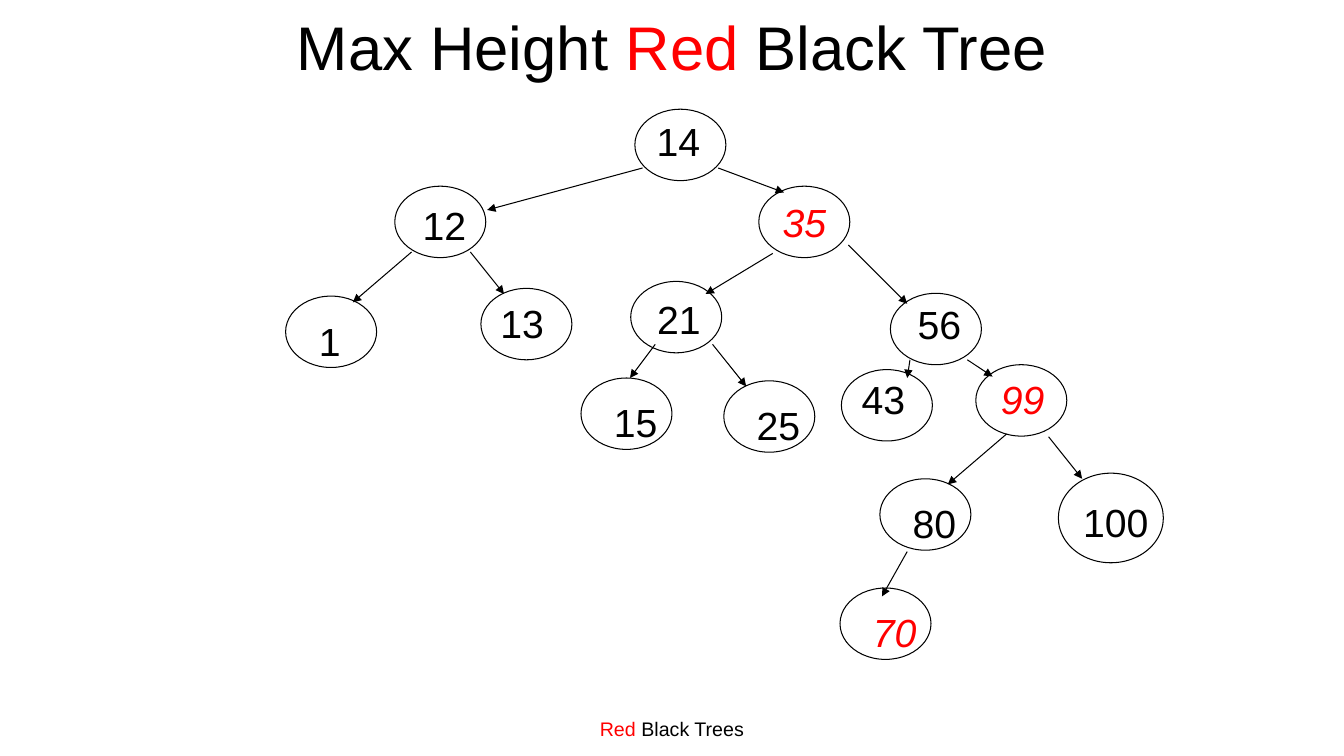
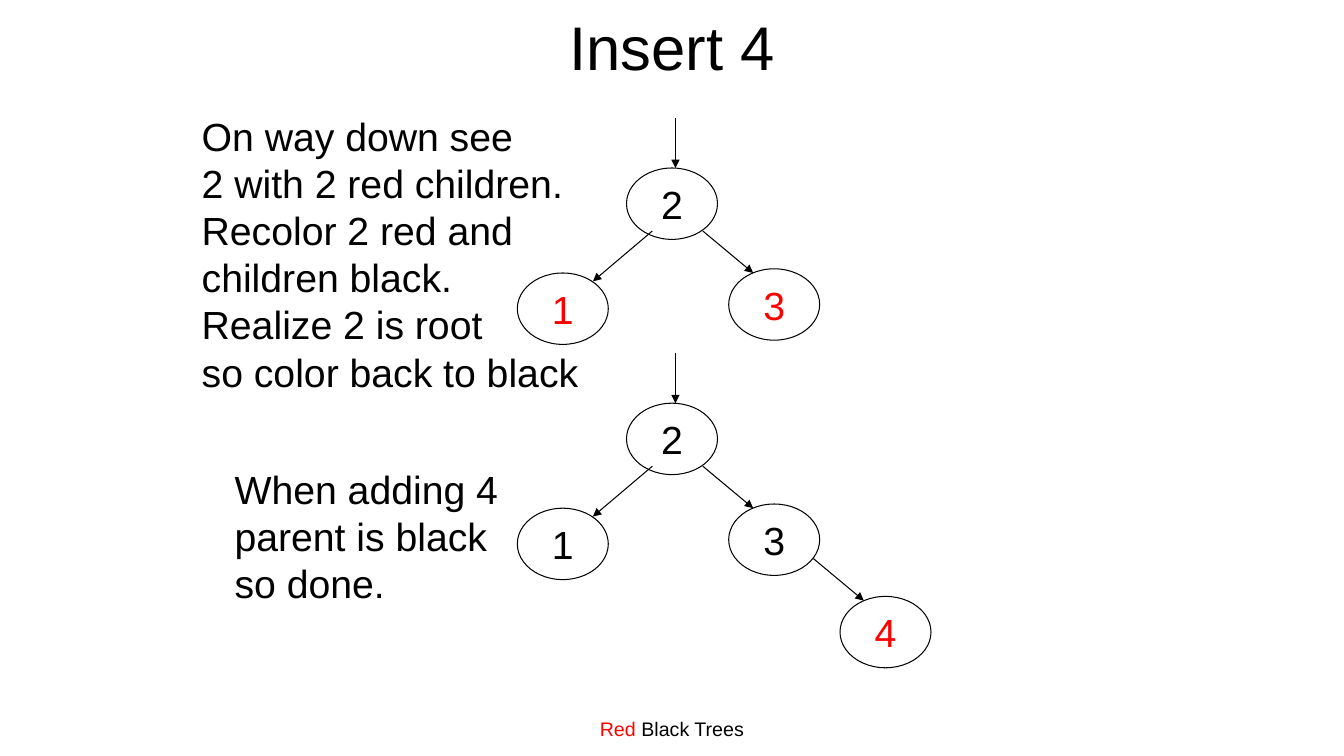
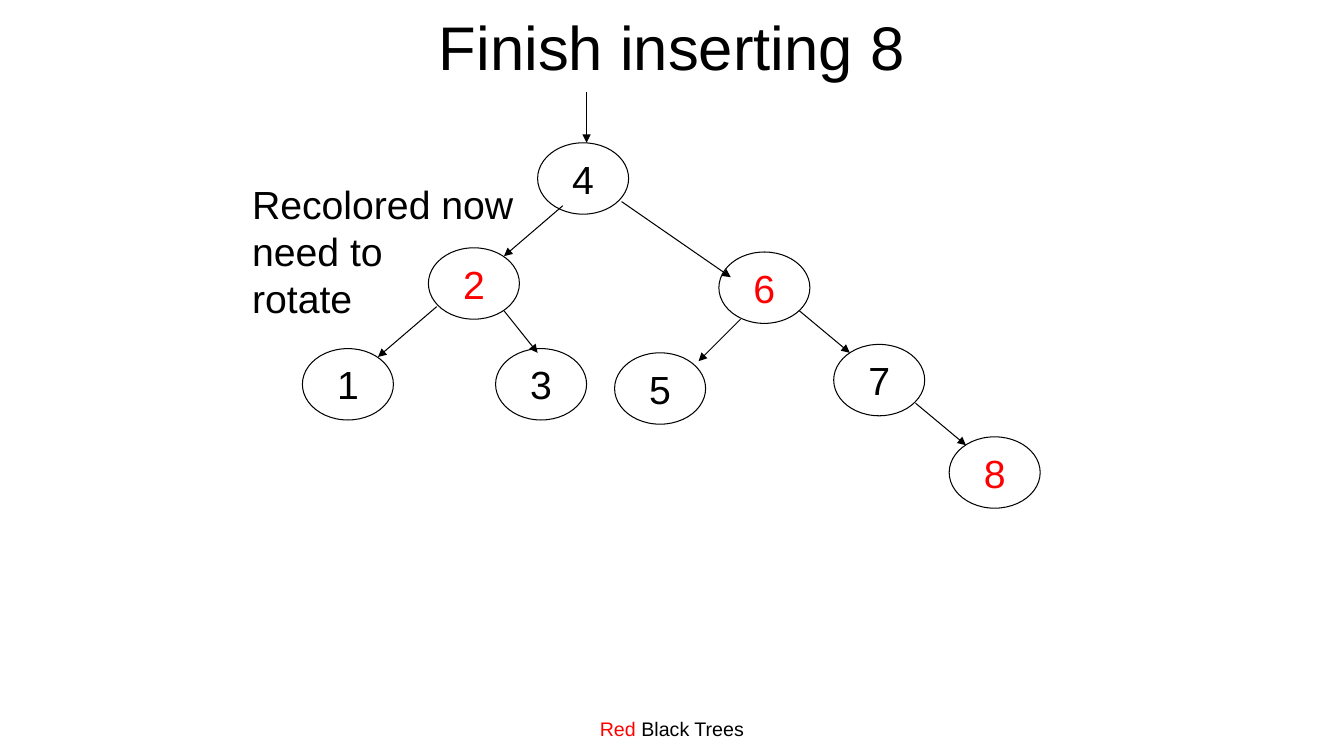
"""Build three slides on red black trees."""
from dataclasses import dataclass

from lxml import etree
from pptx import Presentation
from pptx.dml.color import RGBColor
from pptx.enum import shapes, text
from pptx.oxml import ns
from pptx.util import Pt


@dataclass(frozen=True)
class Theme:
    font: str = "Arial"
    black: RGBColor = RGBColor(0, 0, 0)
    red: RGBColor = RGBColor(255, 0, 0)
    title: float = 44
    body: float = 28
    footer: float = 14
    leading: float = 1.2
    line: float = 0.75
    node: tuple = (65, 51)


class Deck:
    def __init__(self, theme):
        self.t = theme
        self.prs = Presentation()
        self.prs.slide_width, self.prs.slide_height = Pt(960), Pt(540)
        self.s = None

    def slide(self, *title):
        self.s = self.prs.slides.add_slide(self.prs.slide_layouts[6])
        footer = [("Red", self.t.red), (" Black Trees", self.t.black)]
        self.box(296, 508.5, 368, 24, [footer], self.t.footer, align="CENTER")
        self.box(72, -12, 816, 90, [title], self.t.title, align="CENTER", anchor="MIDDLE")

    def fill_text(self, sp, lines, size, align="LEFT", anchor="TOP", italic=False, margin=None, wrap=True):
        tf = sp.text_frame
        tf.word_wrap = wrap
        tf.vertical_anchor = text.MSO_ANCHOR[anchor]
        if margin is not None:
            tf.margin_left = tf.margin_right = tf.margin_top = tf.margin_bottom = Pt(margin)
        p = tf.paragraphs[0]
        p.alignment = text.PP_ALIGN[align]
        p.line_spacing = Pt(round(size * self.t.leading, 2))
        for i, runs in enumerate(lines):
            if i:
                p.add_line_break()
            for words, color in runs:
                r = p.add_run()
                r.text = words
                r.font.name, r.font.size = self.t.font, Pt(size)
                r.font.color.rgb = color
                if italic:
                    r.font.italic = True

    def box(self, x, y, w, h, lines, size, **style):
        sp = self.s.shapes.add_textbox(Pt(x), Pt(y), Pt(w), Pt(h))
        self.fill_text(sp, lines, size, **style)

    def note(self, x, y, w, *lines):
        height = len(lines) * self.t.body * self.t.leading + 7.2
        self.box(x, y, w, height, [[(line, self.t.black)] for line in lines], self.t.body)

    def node(self, label, x, y, red=False, italic=False, nudge=None, size=None):
        w, h = size or self.t.node
        sp = self.s.shapes.add_shape(shapes.MSO_SHAPE.OVAL, Pt(x), Pt(y), Pt(w), Pt(h))
        sp.shadow.inherit = False
        sp.fill.background()
        sp.line.color.rgb, sp.line.width = self.t.black, Pt(self.t.line)
        lines = [[(label, self.t.red if red else self.t.black)]]
        style = dict(align="CENTER", anchor="MIDDLE", italic=italic, margin=0)
        if nudge:
            self.box(x + nudge[0], y + nudge[1], w, h, lines, self.t.body, **style)
        else:
            self.fill_text(sp, lines, self.t.body, wrap=False, **style)

    def arrow(self, x1, y1, x2, y2):
        c = self.s.shapes.add_connector(
            shapes.MSO_CONNECTOR.STRAIGHT, Pt(x1), Pt(y1), Pt(x2), Pt(y2))
        c.line.color.rgb, c.line.width = self.t.black, Pt(self.t.line)
        pr = c._element.spPr
        etree.SubElement(pr.find(ns.qn("a:ln")), ns.qn("a:tailEnd"), type="triangle")
        etree.SubElement(pr, ns.qn("a:effectLst"))

    def arrows(self, *ends):
        for end in ends:
            self.arrow(*end)

    def small_tree(self, top, red_children=False):
        self.node("2", 447.5, top + 36)
        self.node("1", 369.5, top + 111, red_children)
        self.node("3", 520.5, top + 108, red_children)
        self.arrows((482.5, top, 482.5, top + 36),
                    (502, top + 81, 538, top + 111),
                    (466, top + 81, 423.5, top + 117))


def max_height(d):
    d.slide(("Max Height ", d.t.black), ("Red", d.t.red), (" Black Tree", d.t.black))
    low_right = (6.5, 6)
    for label, x, y, nudge in (
            ("14", 453.5, 78, (-1.5, -3)), ("12", 282, 133, (3, 2)),
            ("56", 636, 209.5, (2.5, -3.5)), ("43", 601, 264, (-2.5, -4.5)),
            ("21", 450.5, 201, (2, 1)), ("1", 204, 211.5, (-1, 6.5)),
            ("13", 343.5, 206, (-3, -1)), ("15", 415, 270, low_right),
            ("25", 517, 272, low_right), ("80", 628.5, 342, low_right)):
        d.node(label, x, y, nudge=nudge)
    d.node("100", 756, 338, nudge=(3.5, 2.5), size=(75, 64))
    for label, x, y, nudge in (
            ("35", 542, 133, None), ("99", 697, 260.5, (1, -1)),
            ("70", 600, 420, low_right)):
        d.node(label, x, y, red=True, italic=True, nudge=nudge)
    d.arrows((459, 120, 348, 150), (513, 120, 560, 137.5),
             (606, 175, 648, 217), (650, 257, 648, 270),
             (691, 257, 709, 269), (552, 181, 504, 210),
             (294, 180, 252, 216), (336, 180, 360, 210),
             (468, 246, 450, 270), (509, 246, 533, 276),
             (719, 310, 677, 346), (749, 312, 773, 342),
             (648, 394, 630, 426))


def insert_4(d):
    d.slide(("Insert 4", d.t.black))
    d.small_tree(84, red_children=True)
    d.small_tree(252)
    d.node("4", 600, 426, red=True)
    d.arrow(581, 399, 617, 429)
    d.note(137, 77, 290, "On way down see", "2 with 2 red children.",
           "Recolor 2 red and", "children black.", "Realize 2 is root",
           "so color back to black")
    d.note(160.5, 329, 210, "When adding 4", "parent is black", "so done.")


def finish_8(d):
    d.slide(("Finish inserting 8", d.t.black))
    for label, x, y, red in (
            ("4", 384, 102, False), ("2", 306, 177, True),
            ("6", 513.5, 180, True), ("1", 216, 249, False),
            ("3", 354, 249, False), ("5", 439, 252, False),
            ("7", 595.5, 246, False), ("8", 678, 312, True)):
        d.node(label, x, y, red)
    d.arrows((419, 66, 419, 102), (402, 147, 360, 183),
             (444, 144, 522, 198), (529, 228, 499, 258),
             (571, 222, 607, 252), (312, 219, 270, 255),
             (360, 222, 384, 252), (654, 288, 690, 318))
    d.note(173, 125, 210, "Recolored now", "need to", "rotate")


def main():
    d = Deck(Theme())
    for build in (max_height, insert_4, finish_8):
        build(d)
    d.prs.save("out.pptx")


if __name__ == "__main__":
    main()
